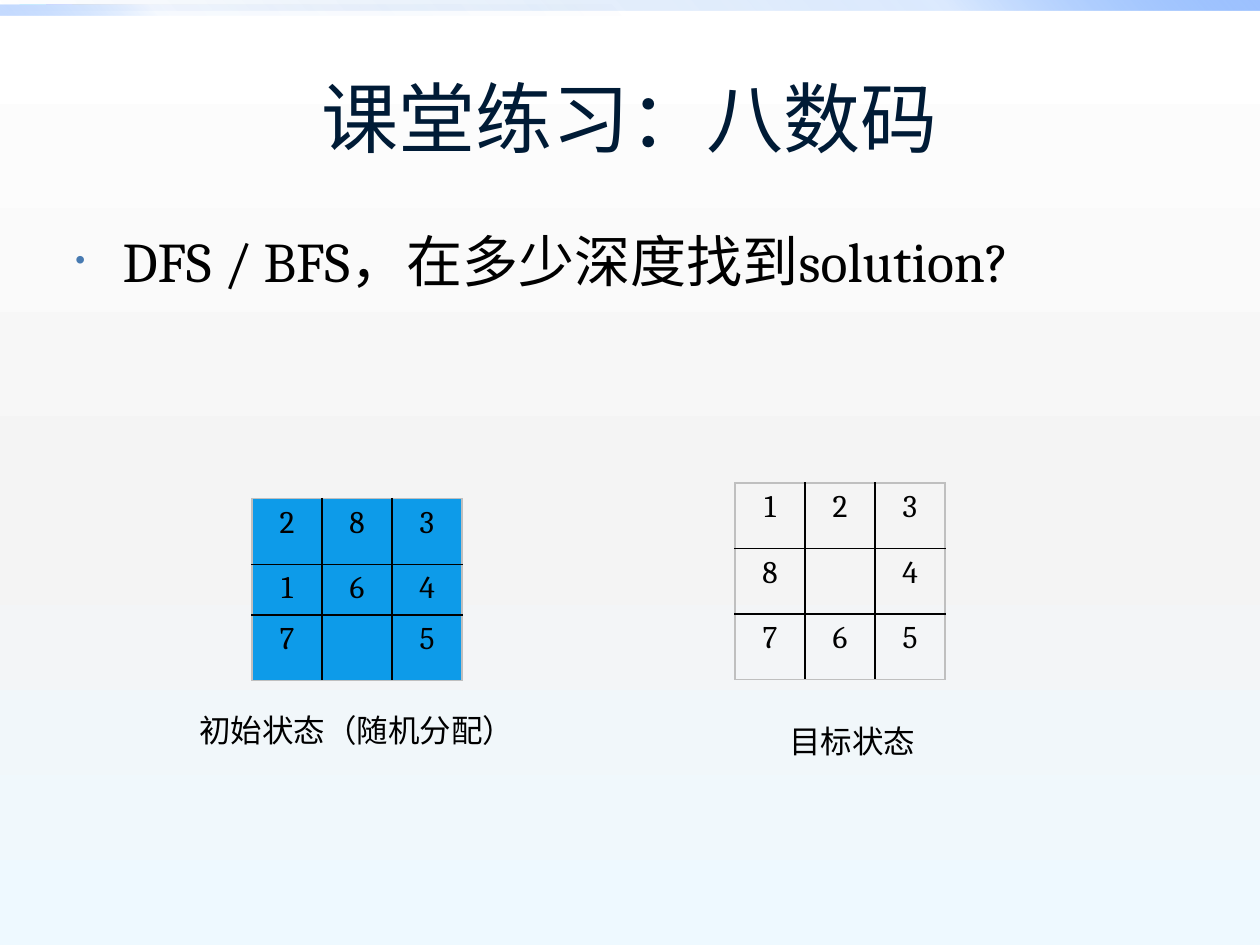
from lxml.etree import SubElement
from pptx import Presentation
from pptx.dml.color import RGBColor
from pptx.enum.shapes import MSO_SHAPE
from pptx.enum.text import MSO_ANCHOR, PP_ALIGN
from pptx.oxml.ns import qn
from pptx.util import Pt

BACKGROUND = [(0, "FFFFFF", 100), (55, "F4F4F4", 100), (100, "EEF9FF", 100)]
BARS = [
    ((0, 0, 720, 5.76), 315, [(0, "0058B7", 0), (75, "4F95FF", 20), (100, "9EC2FF", 100)]),
    ((0, 2.88, 360, 5.76), 135, [(0, "0058B7", 0), (75, "4F95FF", 5), (100, "9EC2FF", 60)]),
]
TITLE = "课堂练习：八数码"
QUESTION = "DFS / BFS，在多少深度找到solution?"
PUZZLES = [
    ((144, 285), (37.5, 28, 37.5), ["283", "164", "7 5"], "0D9BE9"),
    ((420, 276), (37.5, 37.5, 37.5), ["123", "8 4", "765"], None),
]
CAPTIONS = [
    ("目标状态", (444, 409, 114, 29), PP_ALIGN.LEFT),
    ("初始状态（随机分配）", (99, 403, 210, 29), PP_ALIGN.CENTER),
]
CELL_W = 40
INK, EDGE = "000000", "BFBFBF"


def color(value):
    return RGBColor.from_string(value)


def paint_gradient(fill, element, stops, angle):
    fill.gradient()
    fill.gradient_angle = (360 - angle) % 360
    stop_list = next(element.iter(qn("a:gsLst")))
    for stop in list(stop_list):
        stop_list.remove(stop)
    for pos, value, opacity in stops:
        stop = SubElement(stop_list, qn("a:gs"), pos=str(pos * 1000))
        rgb = SubElement(stop, qn("a:srgbClr"), val=value)
        SubElement(rgb, qn("a:alpha"), val=str(opacity * 1000))


def write(p, text, size, font="Cambria", ink=INK, align=PP_ALIGN.LEFT):
    p.alignment = align
    r = p.add_run()
    r.text = text
    r.font.size = Pt(size)
    r.font.name = font
    r.font.color.rgb = color(ink)


def add_text(s, box, anchor=MSO_ANCHOR.TOP):
    tf = s.shapes.add_textbox(*map(Pt, box)).text_frame
    tf.word_wrap = True
    tf.vertical_anchor = anchor
    return tf.paragraphs[0]


def add_bullet(p):
    pPr = p._p.get_or_add_pPr()
    pPr.set("marL", str(Pt(27)))
    pPr.set("indent", str(-Pt(27)))
    bullet_color = SubElement(pPr, qn("a:buClr"))
    SubElement(bullet_color, qn("a:srgbClr"), val="477AB1")
    SubElement(pPr, qn("a:buSzPct"), val="50000")
    SubElement(pPr, qn("a:buFont"), typeface="Arial")
    SubElement(pPr, qn("a:buChar"), char="•")


def set_borders(cell, row, col):
    tcPr = cell._tc.get_or_add_tcPr()
    outer = {"a:lnL": col == 0, "a:lnR": col == 2, "a:lnT": row == 0, "a:lnB": row == 2}
    for tag, is_outer in outer.items():
        line = SubElement(tcPr, qn(tag), w=str(Pt(1)))
        fill = SubElement(line, qn("a:solidFill"))
        SubElement(fill, qn("a:srgbClr"), val=EDGE if is_outer else INK)


def add_puzzle(s, origin, heights, rows, tile):
    size = (3 * CELL_W, sum(heights))
    table = s.shapes.add_table(3, 3, *map(Pt, origin + size)).table
    table.first_row = table.horz_banding = False
    for i, (height, digits) in enumerate(zip(heights, rows)):
        table.rows[i].height = Pt(height)
        for j, digit in enumerate(digits):
            table.columns[j].width = Pt(CELL_W)
            cell = table.cell(i, j)
            set_borders(cell, i, j)
            if tile:
                cell.fill.solid()
                cell.fill.fore_color.rgb = color(tile)
            else:
                cell.fill.background()
            if digit != " ":
                write(cell.text_frame.paragraphs[0], digit, 18, align=PP_ALIGN.CENTER)


prs = Presentation()
prs.slide_width, prs.slide_height = Pt(720), Pt(540)
s = prs.slides.add_slide(prs.slide_layouts[6])
paint_gradient(s.background.fill, s.element, BACKGROUND, 90)

for box, angle, stops in BARS:
    sp = s.shapes.add_shape(MSO_SHAPE.RECTANGLE, *map(Pt, box))
    sp.shadow.inherit = False
    sp.line.fill.background()
    paint_gradient(sp.fill, sp.element, stops, angle)

title = add_text(s, (36, 21.6, 648, 90), MSO_ANCHOR.MIDDLE)
write(title, TITLE, 44, "Calibri", "001B36", PP_ALIGN.CENTER)

question = add_text(s, (36, 126, 648, 356.4))
add_bullet(question)
write(question, QUESTION, 32)

for puzzle in PUZZLES:
    add_puzzle(s, *puzzle)

for text, box, align in CAPTIONS:
    write(add_text(s, box), text, 18, align=align)

prs.save("out.pptx")
